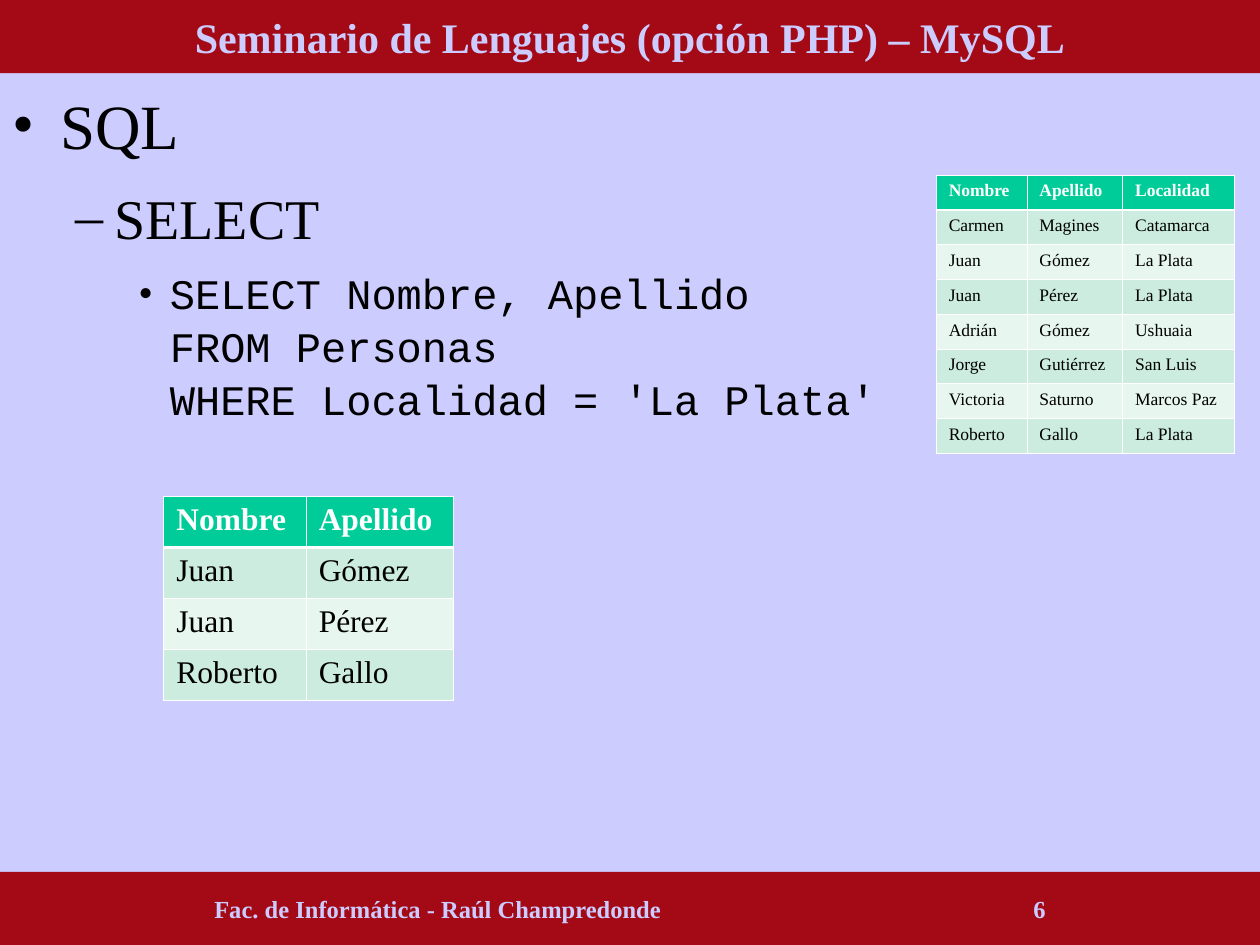
"""Build a slide on the SQL SELECT statement with a source table and its result."""
from lxml.etree import SubElement as Sub
from pptx import Presentation
from pptx.dml.color import RGBColor as RGB
from pptx.enum.shapes import MSO_SHAPE as Shape
from pptx.enum.text import MSO_ANCHOR as Anchor, PP_ALIGN as Align
from pptx.oxml.ns import qn
from pptx.util import Inches, Pt

RED = RGB(0xA3, 0x0A, 0x16)
LILAC = RGB(0xCC, 0xCC, 0xFF)
GREEN = RGB(0x00, 0xCC, 0x99)
MINT = RGB(0xCB, 0xEC, 0xDE)
PALE = RGB(0xE7, 0xF6, 0xEF)
WHITE = RGB(0xFF, 0xFF, 0xFF)
BLACK = RGB(0, 0, 0)
SERIF = "Times New Roman"
MONO = "Courier New"

HEAD = ["Nombre", "Apellido", "Localidad"]
PEOPLE = [
    ["Carmen", "Magines", "Catamarca"],
    ["Juan", "Gómez", "La Plata"],
    ["Juan", "Pérez", "La Plata"],
    ["Adrián", "Gómez", "Ushuaia"],
    ["Jorge", "Gutiérrez", "San Luis"],
    ["Victoria", "Saturno", "Marcos Paz"],
    ["Roberto", "Gallo", "La Plata"],
]
QUERY = "SELECT Nombre, Apellido\vFROM Personas\vWHERE Localidad = 'La Plata'"
POINTS = [
    ("SQL", "•", 0.38, 0.38, 0, 36, SERIF),
    ("SELECT", "–", 0.81, 0.31, 10, 32, SERIF),
    (QUERY, "•", 1.25, 0.25, 8.5, 24, MONO),
]


def style(para, size, color, name=SERIF, bold=False):
    """Format every run of a paragraph."""
    for run in para.runs:
        font = run.font
        font.size, font.name, font.bold = Pt(size), name, bold
        font.color.rgb = color


def add_bar(slide, top, text, size):
    """Add a full-width red bar with centred text."""
    bar = slide.shapes.add_shape(Shape.RECTANGLE, 0, Inches(top), Inches(10), Inches(0.58))
    bar.shadow.inherit = False
    bar.fill.solid()
    bar.fill.fore_color.rgb = RED
    bar.line.fill.background()
    frame = bar.text_frame
    frame.vertical_anchor = Anchor.MIDDLE
    frame.text = text
    para = frame.paragraphs[0]
    para.alignment = Align.CENTER
    style(para, size, LILAC, bold=True)


def add_points(slide):
    """Add the nested bullet list."""
    box = slide.shapes.add_textbox(0, Inches(0.58), Inches(10), Inches(6.33))
    frame = box.text_frame
    frame.word_wrap = True
    frame.margin_top = Inches(0.08)
    for level, (text, mark, left, hang, space, size, name) in enumerate(POINTS):
        para = frame.paragraphs[0] if level == 0 else frame.add_paragraph()
        para.text = text
        para.level = level
        para.space_before = Pt(space)
        para.line_spacing = 1.05
        props = para._p.get_or_add_pPr()
        props.set("marL", str(Inches(left)))
        props.set("indent", str(-Inches(hang)))
        Sub(props, qn("a:buFont"), typeface=SERIF)
        Sub(props, qn("a:buChar"), char=mark)
        style(para, size, BLACK, name)


def add_edge(cell, side, width):
    """Draw one white cell border."""
    line = Sub(cell._tc.get_or_add_tcPr(), qn("a:" + side), w=str(Pt(width)))
    fill = Sub(line, qn("a:solidFill"))
    Sub(fill, qn("a:srgbClr"), val=str(WHITE))


def fill_cell(cell, text, row, size):
    """Write and format one table cell."""
    cell.text = text
    style(cell.text_frame.paragraphs[0], size, BLACK if row else WHITE, bold=row == 0)
    for side in ("lnL", "lnR", "lnT", "lnB"):
        thick = (row, side) in ((0, "lnB"), (1, "lnT"))
        add_edge(cell, side, 1.47 if thick else 0.45)
    cell.fill.solid()
    cell.fill.fore_color.rgb = (MINT if row % 2 else PALE) if row else GREEN


def add_grid(slide, left, top, widths, height, rows, size):
    """Add a banded table with equal row heights."""
    frame = slide.shapes.add_table(
        len(rows), len(widths), Inches(left), Inches(top), Inches(sum(widths)), Inches(height))
    table = frame.table
    for col, width in zip(table.columns, widths):
        col.width = Inches(width)
    for i, row in enumerate(rows):
        table.rows[i].height = Inches(height / len(rows))
        for j, text in enumerate(row):
            fill_cell(table.cell(i, j), text, i, size)


def main():
    """Build and save the slide."""
    deck = Presentation()
    deck.slide_width, deck.slide_height = Inches(10), Inches(7.5)
    slide = deck.slides.add_slide(deck.slide_layouts[6])
    back = slide.background.fill
    back.solid()
    back.fore_color.rgb = LILAC
    add_points(slide)
    add_bar(slide, 0, "Seminario de Lenguajes (opción PHP) – MySQL", 24)
    add_bar(slide, 6.92, "Fac. de Informática - Raúl Champredonde" + "\t" * 6 + "6", 14)
    found = [row[:2] for row in PEOPLE if row[2] == "La Plata"]
    add_grid(slide, 1.3, 3.94, [1.13, 1.17], 1.62, [HEAD[:2]] + found, 18)
    add_grid(slide, 7.43, 1.39, [0.72, 0.76, 0.89], 2.21, [HEAD] + PEOPLE, 10)
    deck.save("out.pptx")


if __name__ == "__main__":
    main()
